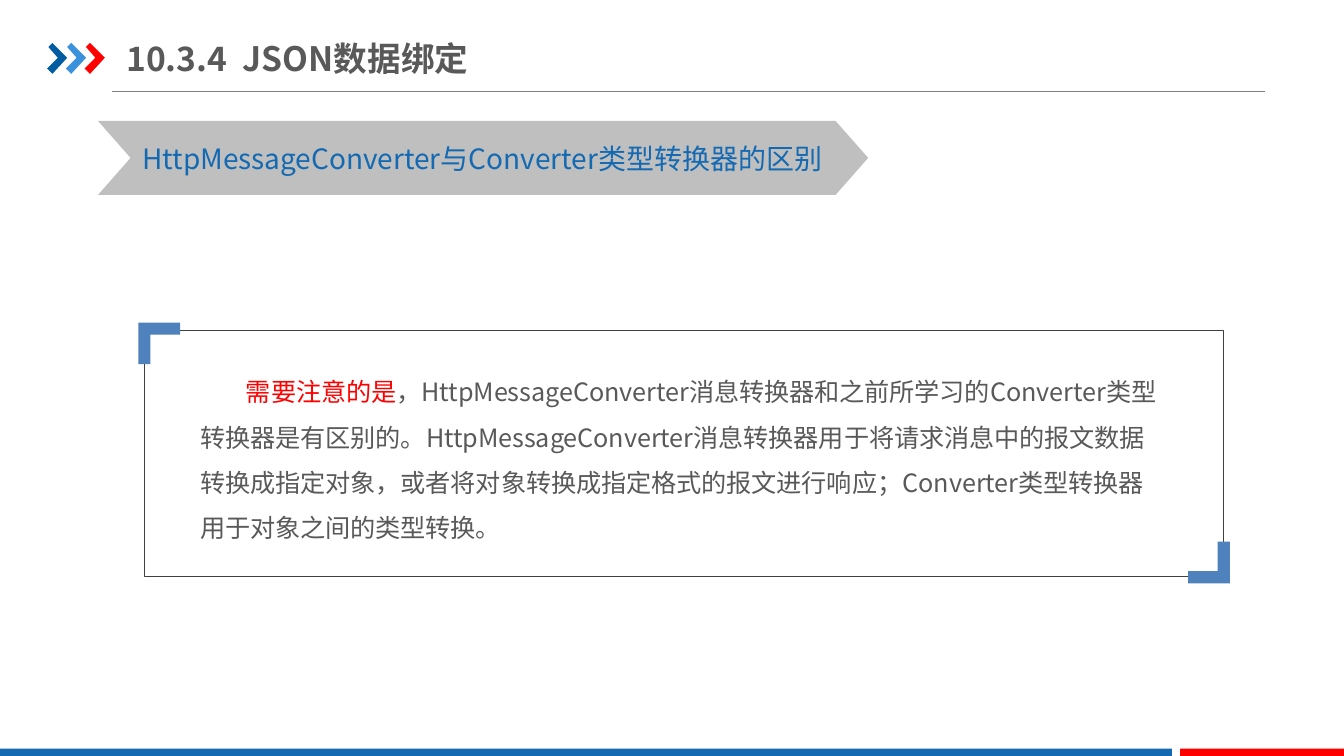
from collections import namedtuple

from lxml.etree import SubElement
from pptx import Presentation
from pptx.dml.color import RGBColor
from pptx.enum.shapes import MSO_CONNECTOR, MSO_SHAPE
from pptx.enum.text import MSO_ANCHOR, MSO_AUTO_SIZE, PP_ALIGN
from pptx.oxml.ns import qn
from pptx.util import Inches, Pt

COLUMNS = 1000
ROWS = COLUMNS * 9 / 16
CELL = Inches(0.01)
FONT_NAME = "Noto Sans CJK SC"

BLUE = RGBColor(0x13, 0x69, 0xB2)
NAVY = RGBColor(0x00, 0x5D, 0xA2)
SKY = RGBColor(0x39, 0x92, 0xDB)
STEEL = RGBColor(0x4F, 0x81, 0xBD)
RED = RGBColor(0xFF, 0x00, 0x00)
SILVER = RGBColor(0xBF, 0xBF, 0xBF)
GRAY = RGBColor(0x80, 0x80, 0x80)
TEXT_GRAY = RGBColor(0x59, 0x59, 0x59)
CHARCOAL = RGBColor(0x40, 0x40, 0x40)

ARROW_POINTS = [(1, 3), (4, 0), (15, 11), (4, 23), (0, 19), (8, 11)]
CORNER_POINTS = [(0, 0), (31, 0), (31, 9), (9, 9), (9, 31), (0, 31)]

Box = namedtuple("Box", "left top width height")


def in_cells(values):
    """Turn grid cells into slide lengths."""
    return [round(value * CELL) for value in values]


def set_attributes(target, values):
    """Set every attribute named in a dict."""
    for name, value in values.items():
        setattr(target, name, value)


def paint(shape, color):
    """Give a shape a flat fill without outline or shadow."""
    shape.shadow.inherit = False
    shape.fill.solid()
    shape.fill.fore_color.rgb = color
    shape.line.fill.background()


def add_block(slide, kind, box, color):
    """Add a flat preset shape."""
    shape = slide.shapes.add_shape(kind, *in_cells(box))
    paint(shape, color)
    return shape


def add_outline(slide, points, left, top, color):
    """Add a flat freeform whose points are offsets in grid cells."""
    builder = slide.shapes.build_freeform(*points[0], scale=CELL)
    builder.add_line_segments(points[1:], close=True)
    shape = builder.convert_to_shape(*in_cells((left, top)))
    paint(shape, color)
    return shape


def add_run(paragraph, text, size, color, bold=False):
    """Add a run with matching Latin and East Asian fonts."""
    run = paragraph.add_run()
    run.text = text
    set_attributes(run.font, {"name": FONT_NAME, "size": Pt(size), "bold": bold})
    run.font.color.rgb = color
    SubElement(run.font._element, qn("a:ea"), typeface=FONT_NAME)


def format_frame(frame, horizontal, vertical, wrap, anchor=MSO_ANCHOR.TOP):
    """Set the margins, wrapping and anchor of a text frame."""
    horizontal, vertical = in_cells((horizontal, vertical))
    set_attributes(frame, {
        "margin_left": horizontal, "margin_right": horizontal,
        "margin_top": vertical, "margin_bottom": vertical,
        "word_wrap": wrap, "vertical_anchor": anchor,
        "auto_size": MSO_AUTO_SIZE.NONE,
    })


def add_header(slide, box):
    """Place the arrows, the title and the rule under it."""
    for index, color in enumerate((NAVY, SKY, RED)):
        add_outline(slide, ARROW_POINTS, box.left + 14 * index, box.top + 10, color)

    title = slide.shapes.title
    title_box = in_cells((box.left + 59, box.top, 270, 42))
    set_attributes(title, dict(zip(Box._fields, title_box)))
    format_frame(title.text_frame, 0, 5, True, MSO_ANCHOR.MIDDLE)
    paragraph = title.text_frame.paragraphs[0]
    paragraph.alignment = PP_ALIGN.LEFT
    add_run(paragraph, "10.3.4  JSON数据绑定", 18, TEXT_GRAY, bold=True)

    bottom = box.top + box.height
    ends = in_cells((box.left + 48, bottom, box.left + box.width, bottom))
    rule = slide.shapes.add_connector(MSO_CONNECTOR.STRAIGHT, *ends)
    rule.line.color.rgb = GRAY
    rule.line.width = Pt(0.75)
    SubElement(rule._element.spPr, qn("a:effectLst"))


def add_banner(slide, box):
    """Place the chevron and its heading."""
    chevron = add_block(slide, MSO_SHAPE.CHEVRON, box, SILVER)
    chevron.adjustments[0] = 0.44
    text_box = (box.left + 23, box.top + 10, box.width - 30, 35)
    heading = slide.shapes.add_textbox(*in_cells(text_box))
    format_frame(heading.text_frame, 10, 5, False)
    add_run(heading.text_frame.paragraphs[0],
            "HttpMessageConverter与Converter类型转换器的区别", 15, BLUE)


def add_note(slide, box):
    """Place the framed note with its two corner marks."""
    text_box = (box.left + 35, box.top + 19, box.width - 75, box.height - 37)
    note = slide.shapes.add_textbox(*in_cells(text_box))
    format_frame(note.text_frame, 7, 4, True)
    paragraph = note.text_frame.paragraphs[0]
    paragraph.line_spacing = 1.5
    paragraph._p.get_or_add_pPr().set("indent", str(34 * CELL))
    add_run(paragraph, "需要注意的是", 13.5, RED)
    add_run(paragraph,
            "，HttpMessageConverter消息转换器和之前所学习的Converter类型转换器是有区别的。"
            "HttpMessageConverter消息转换器用于将请求消息中的报文数据转换成指定对象，"
            "或者将对象转换成指定格式的报文进行响应；"
            "Converter类型转换器用于对象之间的类型转换。", 13.5, TEXT_GRAY)

    frame = slide.shapes.add_shape(MSO_SHAPE.RECTANGLE, *in_cells(box))
    frame.shadow.inherit = False
    frame.fill.background()
    frame.line.color.rgb = CHARCOAL
    frame.line.width = Pt(0.25)

    add_outline(slide, CORNER_POINTS, box.left - 4, box.top - 6, STEEL)
    closing = add_outline(slide, CORNER_POINTS, box.left + box.width - 26,
                          box.top + box.height - 26, STEEL)
    closing.rotation = 180


def add_footer(slide, box):
    """Place the blue and red bars, parted by a small gap."""
    blue_width, gap = 872, 6
    red_left = box.left + blue_width + gap
    add_block(slide, MSO_SHAPE.RECTANGLE, box._replace(width=blue_width), BLUE)
    add_block(slide, MSO_SHAPE.RECTANGLE,
              box._replace(left=red_left, width=box.width - blue_width - gap), RED)


def main():
    """Build and save the slide."""
    presentation = Presentation()
    presentation.slide_width, presentation.slide_height = in_cells((COLUMNS, ROWS))
    slide = presentation.slides.add_slide(presentation.slide_layouts[5])
    add_header(slide, Box(35, 22, 906, 46))
    add_footer(slide, Box(0, 557, COLUMNS, ROWS - 557))
    add_banner(slide, Box(73, 90, 573, 55))
    add_note(slide, Box(107, 246, 803, 183))
    presentation.save("out.pptx")


if __name__ == "__main__":
    main()
